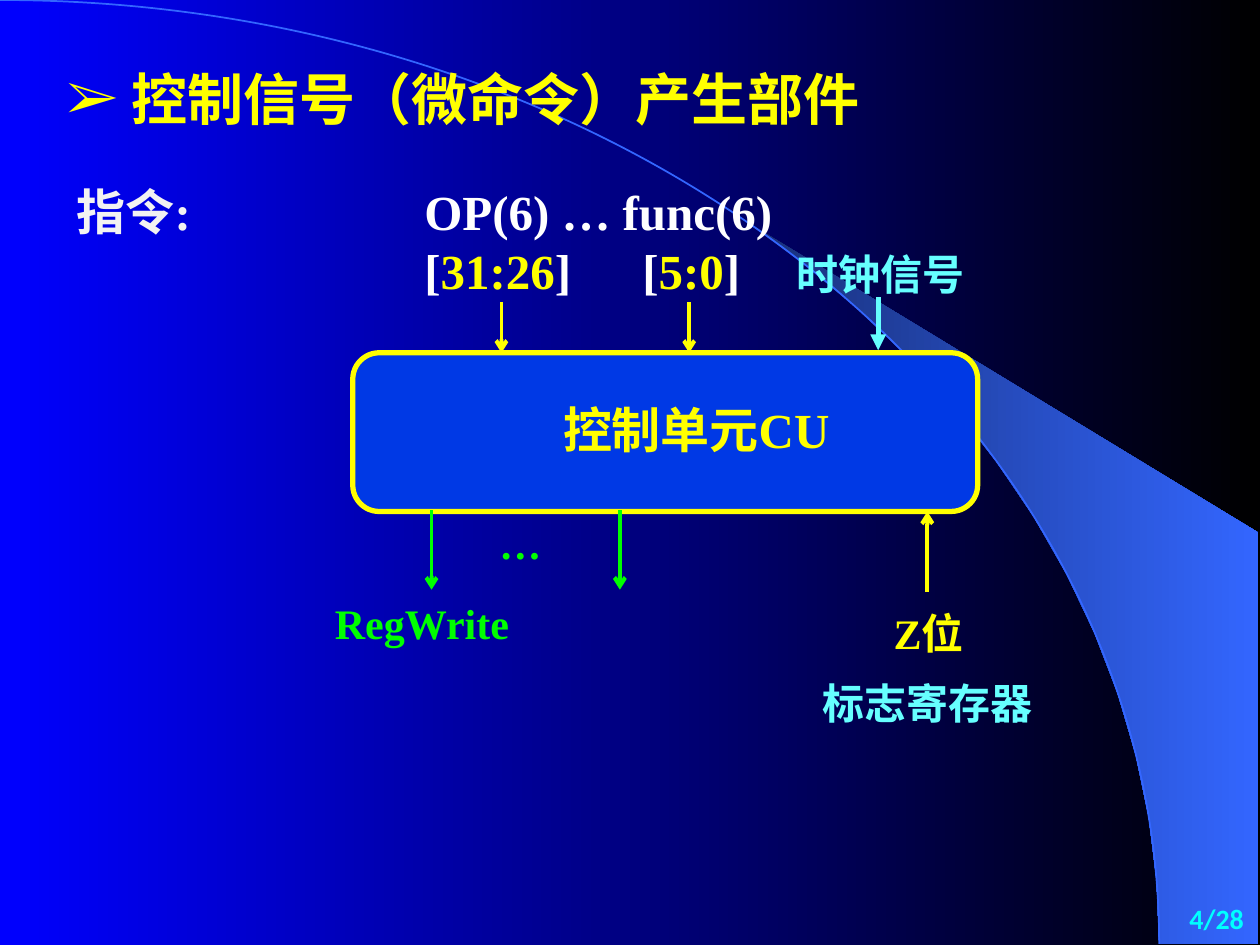
import math
from pptx import Presentation
from pptx import util as u
from pptx.dml import color
from pptx.enum import shapes, text
from pptx.oxml import ns
from lxml import etree

theme = {
    "blue": "0000FF", "black": "000000", "navy": "182F76", "azure": "3366FF",
    "panel": "0039E5", "yellow": "FFFF00", "white": "FFFFFF", "pale": "F2F2F2",
    "green": "00FF00", "aqua": "66FFFF", "cyan": "00FFFF",
    "serif": "Times New Roman", "sans": "Calibri",
    "title": 32, "large": 28, "label": 24, "number": 16,
}
rgb = {name: color.RGBColor.from_string(value)
       for name, value in theme.items() if name not in ("serif", "sans") and isinstance(value, str)}

presentation = Presentation()
presentation.slide_width = u.Inches(10)
presentation.slide_height = u.Inches(7.5)
column = presentation.slide_width / 100
row = presentation.slide_height / 75
slide = presentation.slides.add_slide(presentation.slide_layouts[6])


def add_text(left, top, width, height, runs, size, align="LEFT", font="serif", wrap=False):
    shape = slide.shapes.add_textbox(*(int(v) for v in (
        left * column, top * row, width * column, height * row)))
    shape.text_frame.word_wrap = wrap
    paragraph = shape.text_frame.paragraphs[0]
    paragraph.alignment = getattr(text.PP_ALIGN, align)
    for words, tint in runs:
        run = paragraph.add_run()
        run.text = words
        run.font.name = theme[font]
        run.font.size = u.Pt(theme[size])
        run.font.bold = True
        run.font.color.rgb = rgb[tint]
    return shape


def add_outline(points, closed):
    scaled = [(int(x * column), int(y * row)) for x, y in points]
    builder = slide.shapes.build_freeform(*scaled[0])
    builder.add_line_segments(scaled[1:], close=closed)
    shape = builder.convert_to_shape()
    shape.shadow.inherit = False
    return shape


arc_width, arc_height = 92, 74.9
arc_angles = [math.radians(40 + 50 * step / 13) for step in range(14)]
wing = add_outline([(arc_width * math.sin(angle), arc_height * (1 - math.cos(angle)))
                    for angle in arc_angles] + [(99.9, 74.9), (99.9, 42.3)], True)
wing.line.fill.background()

curve = add_outline([(0, 0), (50.8, 0), (arc_width, 33.5), (arc_width, arc_height)], False)
curve.fill.background()
curve.line.color.rgb = rgb["azure"]
curve.line.width = u.Pt(1)
outline = next(curve._element.iter(ns.qn("a:path")))
bezier = etree.SubElement(outline, ns.qn("a:cubicBezTo"))
for segment in outline.findall(ns.qn("a:lnTo")):
    bezier.append(segment[0])
    outline.remove(segment)

for fill, tints in ((slide.background.fill, ("blue", "black")), (wing.fill, ("navy", "azure"))):
    fill.gradient()
    fill.gradient_angle = 0
    for stop, tint in zip(fill.gradient_stops, tints):
        stop.color.rgb = rgb[tint]

unit_top, unit_bottom = 28, 40.6
control_unit = slide.shapes.add_shape(
    shapes.MSO_SHAPE.ROUNDED_RECTANGLE, int(28 * column), int(unit_top * row),
    int(49.6 * column), int((unit_bottom - unit_top) * row))
control_unit.shadow.inherit = False
control_unit.fill.solid()
control_unit.fill.fore_color.rgb = rgb["panel"]
control_unit.line.color.rgb = rgb["yellow"]
control_unit.line.width = u.Pt(3)

for left, top, width, runs, size, align in (
    (43.7, 31.2, 24.1, [("控制单元CU", "yellow")], "large", "LEFT"),
    (5.1, 13.9, 21.2, [("指令:", "pale")], "large", "LEFT"),
    (32.7, 13.9, 30, [("OP(6) … func(6)", "white")], "large", "LEFT"),
    (32.7, 18.6, 15.7, [("[", "white"), ("31:26", "yellow"), ("]", "white")], "large", "LEFT"),
    (50, 18.6, 12.6, [("[", "white"), ("5:0", "yellow"), ("]", "white")], "large", "LEFT"),
    (61.2, 19.2, 17.3, [("时钟信号", "aqua")], "label", "CENTER"),
    (25.6, 46.9, 17.3, [("RegWrite", "green")], "label", "LEFT"),
    (36.6, 40.6, 9.4, [("…", "green")], "label", "CENTER"),
    (69, 47.7, 9.4, [("Z位", "yellow")], "label", "CENTER"),
    (63.6, 53.3, 20, [("标志寄存器", "aqua")], "label", "CENTER"),
):
    add_text(left, top, width, 5.5, runs, size, align)

signal_start, signal_end = 40.5, 46.8
for x, start, end, tint, weight, arrowhead in (
    (39.8, 24, unit_top, "yellow", 2.25, "arrow"),
    (54.7, 24, unit_top, "yellow", 2.25, "arrow"),
    (69.7, 23.6, 27.8, "aqua", 3, "triangle"),
    (34.25, signal_start, signal_end, "green", 2.25, "arrow"),
    (49.2, signal_start, signal_end, "green", 2.25, "arrow"),
    (73.6, 47, unit_bottom, "yellow", 2.25, "arrow"),
):
    arrow = slide.shapes.add_connector(
        shapes.MSO_CONNECTOR.STRAIGHT, int(x * column), int(start * row),
        int(x * column), int(end * row))
    arrow.line.color.rgb = rgb[tint]
    arrow.line.width = u.Pt(weight)
    etree.SubElement(arrow.line._get_or_add_ln(), ns.qn("a:tailEnd"), type=arrowhead)
    etree.SubElement(arrow._element.spPr, ns.qn("a:effectLst"))

title = add_text(0.4, 3.6, 81.3, 7.4, [(" 控制信号（微命令）产生部件", "yellow")], "title", wrap=True)
paragraph = title.text_frame.paragraphs[0]
paragraph.line_spacing = 1.2
properties = paragraph._p.get_or_add_pPr()
properties.set("marL", str(u.Inches(0.56)))
properties.set("indent", str(u.Inches(-0.17)))
bullet_color = etree.SubElement(properties, ns.qn("a:buClr"))
etree.SubElement(bullet_color, ns.qn("a:srgbClr"), val=theme["yellow"])
etree.SubElement(properties, ns.qn("a:buFont"), typeface=theme["serif"])
etree.SubElement(properties, ns.qn("a:buChar"), char="➢")

page_number = add_text(87.9, 70.9, 11.8, 3.9, [("4/28", "cyan")], "number", "RIGHT", "sans", True)
page_number.text_frame.vertical_anchor = text.MSO_ANCHOR.MIDDLE

presentation.save("out.pptx")
